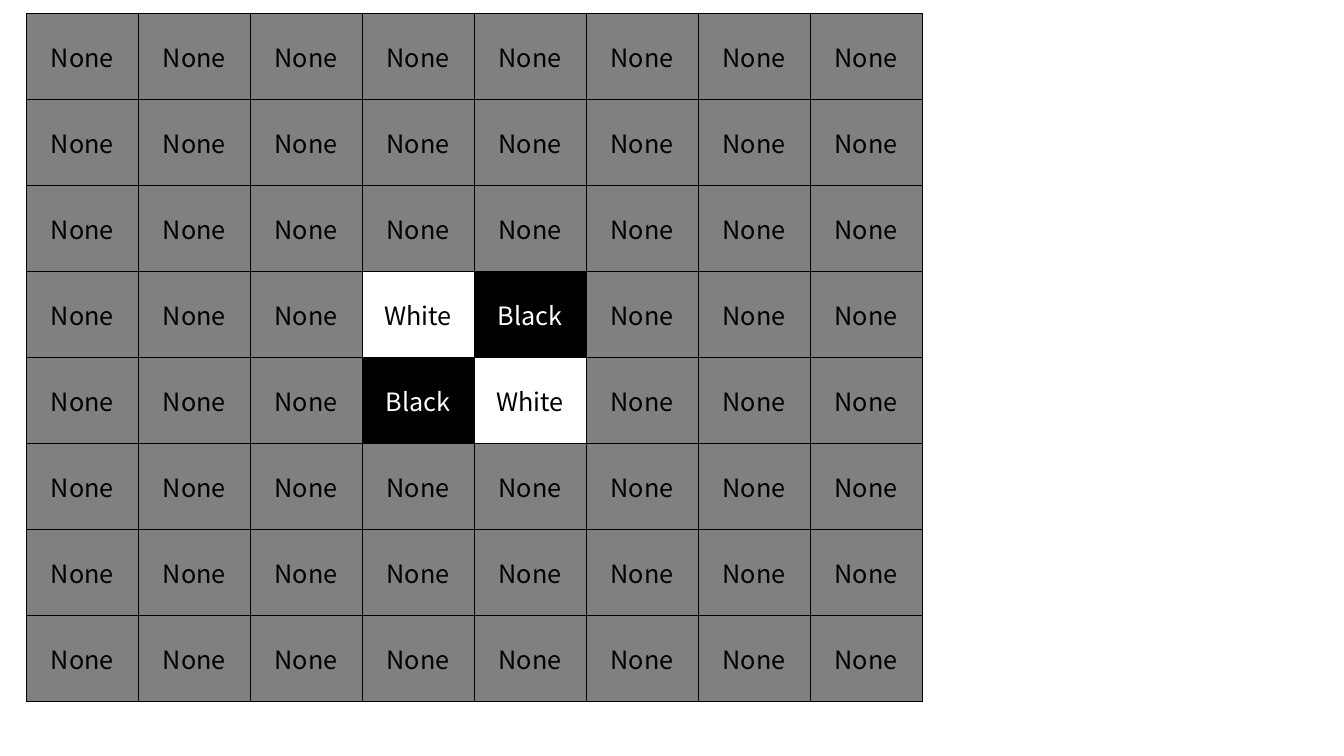
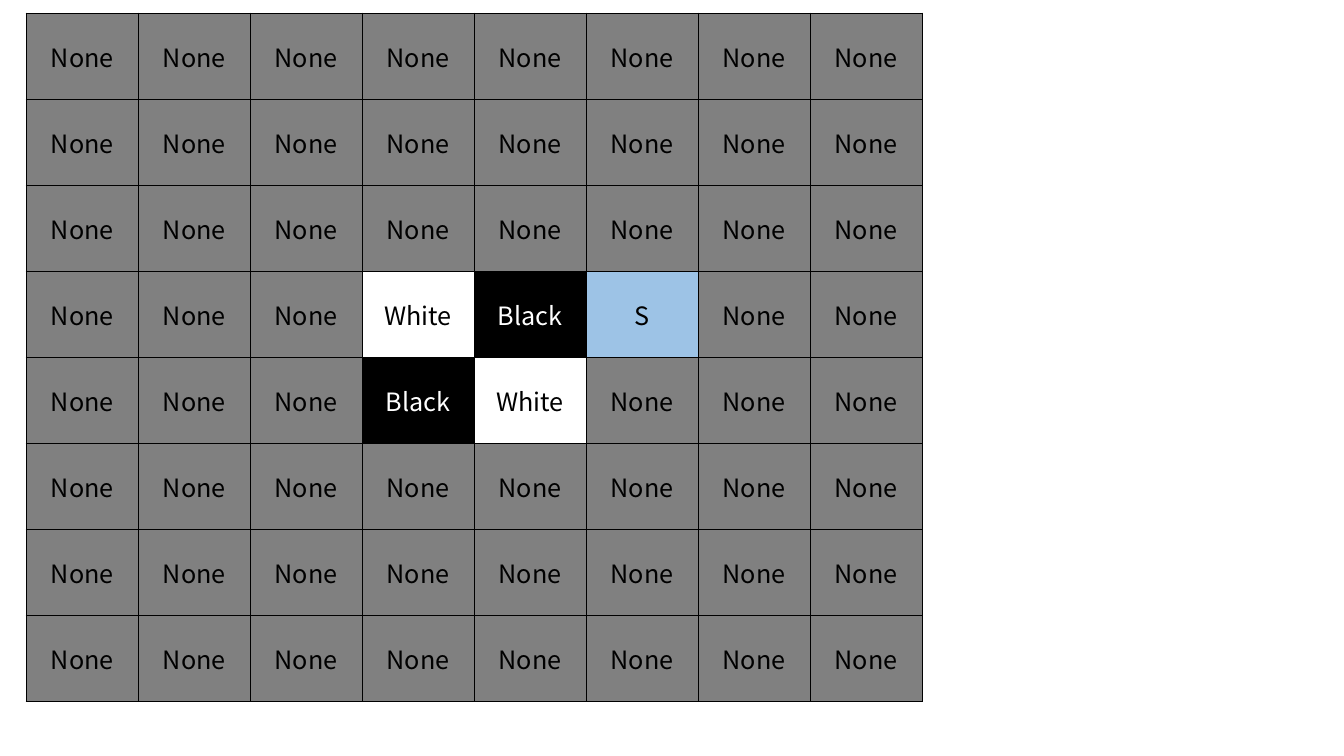
import lxml.etree
import pptx
import pptx.dml.color
import pptx.enum.text
import pptx.oxml.ns
import pptx.util

Pt = pptx.util.Pt
RGBColor = pptx.dml.color.RGBColor

# Shared style
BLACK = RGBColor(0x00, 0x00, 0x00)
WHITE = RGBColor(0xFF, 0xFF, 0xFF)
GRAY = RGBColor(0x80, 0x80, 0x80)
LIGHT_BLUE = RGBColor(0x9D, 0xC3, 0xE6)
FONT = "Noto Sans CJK KR"
FONT_SIZE = Pt(18)
BORDER_WIDTH = Pt(1)

# Board geometry
BOARD_SIZE = 8
BOARD_LEFT, BOARD_TOP = Pt(18.72), Pt(9.36)
SQUARE_WIDTH, SQUARE_HEIGHT = Pt(80), Pt(61.47)

# Square state: (fill, text colour)
STATE_COLORS = {
    "None": (GRAY, BLACK),
    "White": (WHITE, BLACK),
    "Black": (BLACK, WHITE),
    "S": (LIGHT_BLUE, BLACK),
}

# Occupied squares by (row, column)
OPENING = {(3, 3): "White", (3, 4): "Black", (4, 3): "Black", (4, 4): "White"}
SELECTION = {(3, 5): "S"}


def add_borders(square):
    """Outline a table cell; must run before the cell is filled."""
    qn = pptx.oxml.ns.qn
    properties = square._tc.get_or_add_tcPr()
    for side in ("a:lnL", "a:lnR", "a:lnT", "a:lnB"):
        border = lxml.etree.SubElement(properties, qn(side), w=str(BORDER_WIDTH))
        fill = lxml.etree.SubElement(border, qn("a:solidFill"))
        lxml.etree.SubElement(fill, qn("a:srgbClr"), val=str(BLACK))


def style_square(square, state):
    fill_color, text_color = STATE_COLORS[state]
    add_borders(square)
    square.fill.solid()
    square.fill.fore_color.rgb = fill_color
    square.vertical_anchor = pptx.enum.text.MSO_ANCHOR.MIDDLE
    square.text = state
    label = square.text_frame.paragraphs[0]
    label.alignment = pptx.enum.text.PP_ALIGN.CENTER
    label.font.name = FONT
    label.font.size = FONT_SIZE
    label.font.color.rgb = text_color


def add_board(slide, occupied):
    board = slide.shapes.add_table(
        BOARD_SIZE, BOARD_SIZE, BOARD_LEFT, BOARD_TOP,
        SQUARE_WIDTH * BOARD_SIZE, SQUARE_HEIGHT * BOARD_SIZE).table
    board.first_row = False
    board.horz_banding = False
    for column in board.columns:
        column.width = SQUARE_WIDTH
    for row in board.rows:
        row.height = SQUARE_HEIGHT
    for row in range(BOARD_SIZE):
        for column in range(BOARD_SIZE):
            state = occupied.get((row, column), "None")
            style_square(board.cell(row, column), state)


def main():
    deck = pptx.Presentation()
    deck.slide_width, deck.slide_height = Pt(960), Pt(540)
    blank_layout = deck.slide_layouts[6]

    # Opening position, then the same position with a selected square
    for occupied in (OPENING, {**OPENING, **SELECTION}):
        add_board(deck.slides.add_slide(blank_layout), occupied)

    deck.save("out.pptx")


main()
